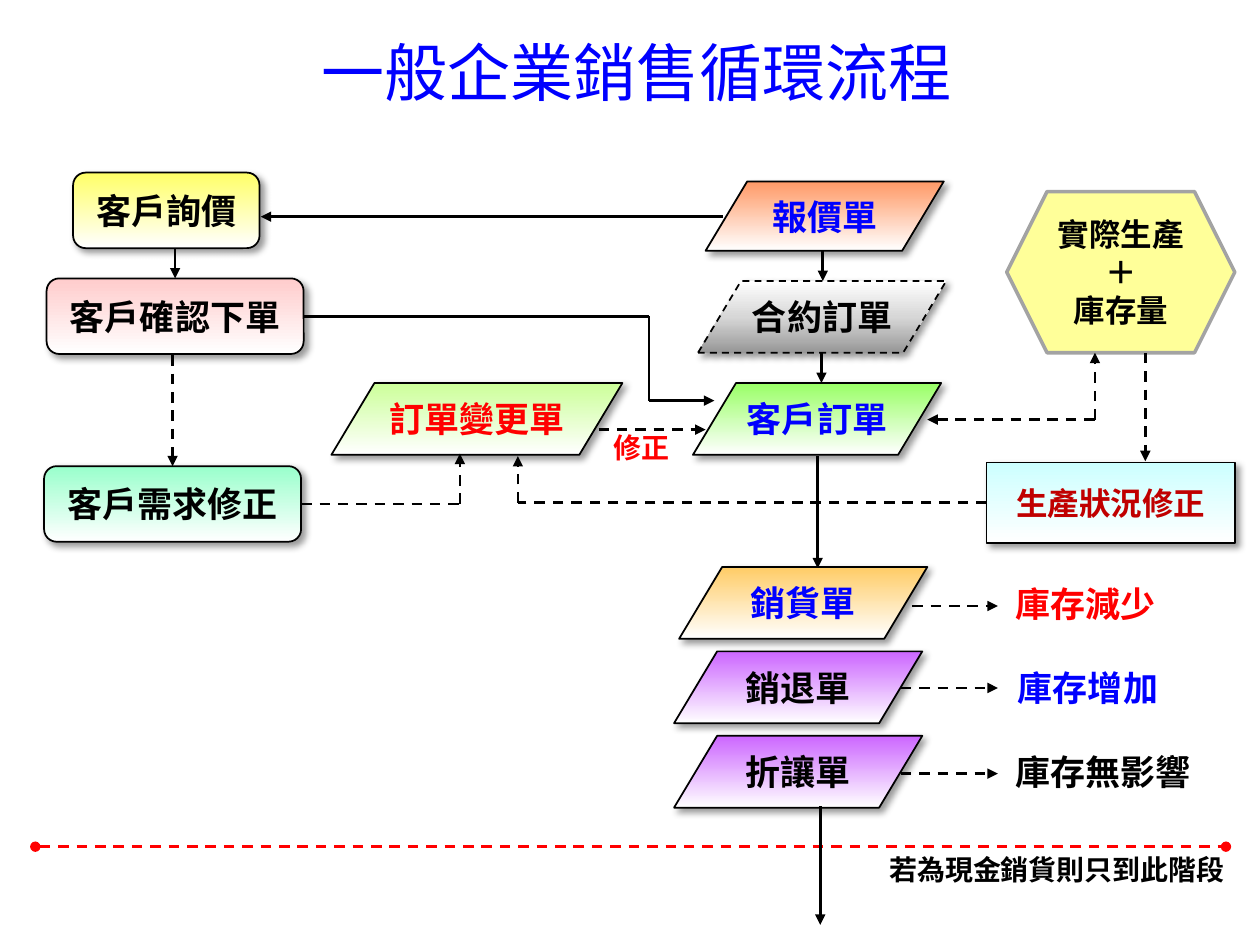
from lxml import etree
from pptx import Presentation
from pptx.dml.color import RGBColor
from pptx.enum.dml import MSO_LINE
from pptx.enum.shapes import MSO_CONNECTOR, MSO_SHAPE
from pptx.enum.text import MSO_ANCHOR, PP_ALIGN
from pptx.oxml.ns import qn
from pptx.util import Inches, Pt

RECT, ROUND = MSO_SHAPE.RECTANGLE, MSO_SHAPE.ROUNDED_RECTANGLE
SLANT, HEXAGON = MSO_SHAPE.PARALLELOGRAM, MSO_SHAPE.HEXAGON
STRAIGHT = MSO_CONNECTOR.STRAIGHT
DASH, MIDDLE = MSO_LINE.DASH, MSO_ANCHOR.MIDDLE
CENTER, LEFT = PP_ALIGN.CENTER, PP_ALIGN.LEFT
TOP_SIDE, LEFT_SIDE, RIGHT_SIDE = 0, 1, 3

SERIF, SANS = "Times New Roman", "Noto Sans CJK SC"
BLACK, BLUE, RED, WHITE = "000000", "0000FF", "FF0000", "FFFFFF"


def rgb(value):
    return RGBColor.from_string(value)


def add_xml(parent, tag, **attrs):
    return etree.SubElement(parent, qn(tag), {k: str(v) for k, v in attrs.items()})


class FlowSlide:
    def __init__(self, slide):
        self.shapes = slide.shapes

    def add_lines(self, tf, lines, size, color, font, bold=True, align=CENTER):
        for i, line in enumerate(lines):
            p = tf.paragraphs[0] if i == 0 else tf.add_paragraph()
            p.alignment = align
            r = p.add_run()
            r.text = line
            r.font.size = Pt(size)
            r.font.bold = bold
            r.font.name = font
            r.font.color.rgb = rgb(color)
            add_xml(r.font._element, "a:ea", typeface=SANS)

    def label(self, text, box, size, color, font=SANS, **style):
        tf = self.shapes.add_textbox(*map(Inches, box)).text_frame
        tf.word_wrap = True
        self.add_lines(tf, [text], size, color, font, **style)
        return tf

    def shape(self, kind, lines, box, size, color, font, line, width):
        sp = self.shapes.add_shape(kind, *map(Inches, box))
        sp.shadow.inherit = False
        sp.line.color.rgb = rgb(line)
        sp.line.width = Pt(width)
        tf = sp.text_frame
        tf.word_wrap = False
        tf.vertical_anchor = MIDDLE
        self.add_lines(tf, lines, size, color, font)
        return sp

    def step(self, kind, text, box, stops, color=BLACK, font=SANS, size=20):
        """Shadowed box with a gradient running from top to bottom."""
        sp = self.shape(kind, [text], box, size, color, font, BLACK, 1)
        sp.fill.gradient()
        sp.fill.gradient_angle = 270
        stop_list = sp._element.spPr.find(".//" + qn("a:gsLst"))
        stop_list.clear()
        for i, value in enumerate(stops):
            stop = add_xml(stop_list, "a:gs", pos=100000 * i // (len(stops) - 1))
            add_xml(stop, "a:srgbClr", val=value)
        effects = sp._element.spPr.find(qn("a:effectLst"))
        shadow = add_xml(effects, "a:outerShdw", blurRad=Pt(4), dist=Pt(3),
                         dir=45 * 60000, algn="tl", rotWithShape=0)
        add_xml(add_xml(shadow, "a:srgbClr", val=BLACK), "a:alpha", val=40000)
        return sp

    def document(self, text, box, stops, color=BLUE):
        sp = self.step(SLANT, text, box, stops, color, SERIF)
        sp.adjustments[0] = 0.6
        return sp

    def route(self, *points, dash=False, color=BLACK, head=None, tail="triangle",
              begin=None, end=None):
        """Straight segments through the points; begin and end are (shape, side)."""
        last = len(points) - 2
        for i, (start, stop) in enumerate(zip(points, points[1:])):
            line = self.shapes.add_connector(STRAIGHT, *map(Inches, start + stop))
            line.line.color.rgb = rgb(color)
            line.line.width = Pt(1.5)
            if dash:
                line.line.dash_style = DASH
            if begin and i == 0:
                line.begin_connect(*begin)
            if end and i == last:
                line.end_connect(*end)
            ln = line._element.spPr.find(qn("a:ln"))
            if head and i == 0:
                add_xml(ln, "a:headEnd", type=head)
            if tail and i == last:
                add_xml(ln, "a:tailEnd", type=tail)
            add_xml(line._element.spPr, "a:effectLst")


def main():
    prs = Presentation()
    prs.slide_width, prs.slide_height = Inches(10), Inches(7.5)
    s = FlowSlide(prs.slides.add_slide(prs.slide_layouts[6]))

    # Title
    title = s.label("一般企業銷售循環流程", (0.51, 0.13, 9.08, 0.87), 36, BLUE, SERIF,
                    bold=False, align=CENTER)
    title.vertical_anchor = MIDDLE

    # Customer steps
    s.step(ROUND, "客戶詢價", (0.58, 1.37, 1.48, 0.6), ("FFFF66", WHITE))
    confirm = s.step(ROUND, "客戶確認下單", (0.37, 2.21, 2.04, 0.6), ("FFCCCC", WHITE))
    revise = s.step(ROUND, "客戶需求修正", (0.35, 3.7, 2.04, 0.6), ("99FFCC", WHITE))

    # Sales documents
    s.document("報價單", (5.6, 1.44, 1.89, 0.55), ("FF9966", WHITE))
    contract = s.document("合約訂單", (5.54, 2.23, 1.97, 0.57),
                          (WHITE, "D7D7D7", "979797"), BLACK)
    contract.line.dash_style = DASH
    s.document("訂單變更單", (2.63, 3.04, 2.31, 0.57), ("CCFF99", WHITE), RED)
    s.document("客戶訂單", (5.5, 3.04, 1.97, 0.57), ("99FF66", WHITE))

    # Production
    stock = s.shape(HEXAGON, ["實際生產", "＋", "庫存量"], (7.99, 1.52, 1.81, 1.28),
                    18, BLACK, SERIF, "A3A3A3", 2)
    stock.fill.solid()
    stock.fill.fore_color.rgb = rgb("FFFF99")
    production = s.step(RECT, "生產狀況修正", (7.83, 3.67, 1.97, 0.64),
                        ("CCFFFF", WHITE), "C00000", size=18)

    # Flow from quotation to order
    s.route((5.74, 1.72), (2.07, 1.72))
    s.route((1.39, 1.97), (1.39, 2.21), end=(confirm, TOP_SIDE))
    s.route((2.41, 2.51), (5.15, 2.51), (5.15, 3.18), (5.67, 3.18),
            begin=(confirm, RIGHT_SIDE))
    s.route((6.53, 1.99), (6.53, 2.23))
    s.route((6.52, 2.8), (6.52, 3.04))
    s.route((6.49, 3.62), (6.49, 4.51))

    # Flow of changes
    s.route((1.37, 2.82), (1.37, 3.7), dash=True, end=(revise, TOP_SIDE))
    s.route((2.39, 4), (3.65, 4), (3.65, 3.6), dash=True, begin=(revise, RIGHT_SIDE))
    s.route((7.83, 3.99), (4.11, 3.99), (4.11, 3.62), dash=True,
            begin=(production, LEFT_SIDE))
    s.route((4.75, 3.41), (5.6, 3.41), dash=True)
    s.label("修正", (4.77, 3.37, 0.77, 0.37), 16, RED, align=LEFT)
    s.route((7.36, 3.33), (8.69, 3.33), (8.69, 2.8), dash=True, head="triangle")
    s.route((9.09, 2.8), (9.09, 3.66), dash=True)

    # Delivery documents and their effect on stock
    deliveries = [
        ("銷貨單", 5.39, 4.5, "FFCC66", BLUE, 7.24, 4.81, "庫存減少", 7.96, RED),
        ("銷退單", 5.35, 5.17, "CC66FF", BLACK, 7.15, 5.46, "庫存增加", 7.98, BLUE),
        ("折讓單", 5.35, 5.84, "CC66FF", BLACK, 7.15, 6.14, "庫存無影響", 7.96, BLACK),
    ]
    for name, x, y, fill, color, start, mid, effect, effect_x, effect_color in deliveries:
        s.document(name, (x, y, 1.97, 0.57), (fill, WHITE), color)
        s.route((start, mid), (7.92, mid), dash=True)
        s.label(effect, (effect_x, y + 0.07, 1.91, 0.44), 20, effect_color, align=LEFT)

    # Cash sales limit
    s.route((0.28, 6.72), (9.73, 6.72), dash=True, color=RED, head="oval", tail="oval")
    s.label("若為現金銷貨則只到此階段", (6.96, 6.72, 2.91, 0.37), 16, BLACK, align=LEFT)
    s.route((6.51, 6.4), (6.51, 7.34))

    prs.save("out.pptx")


if __name__ == "__main__":
    main()
